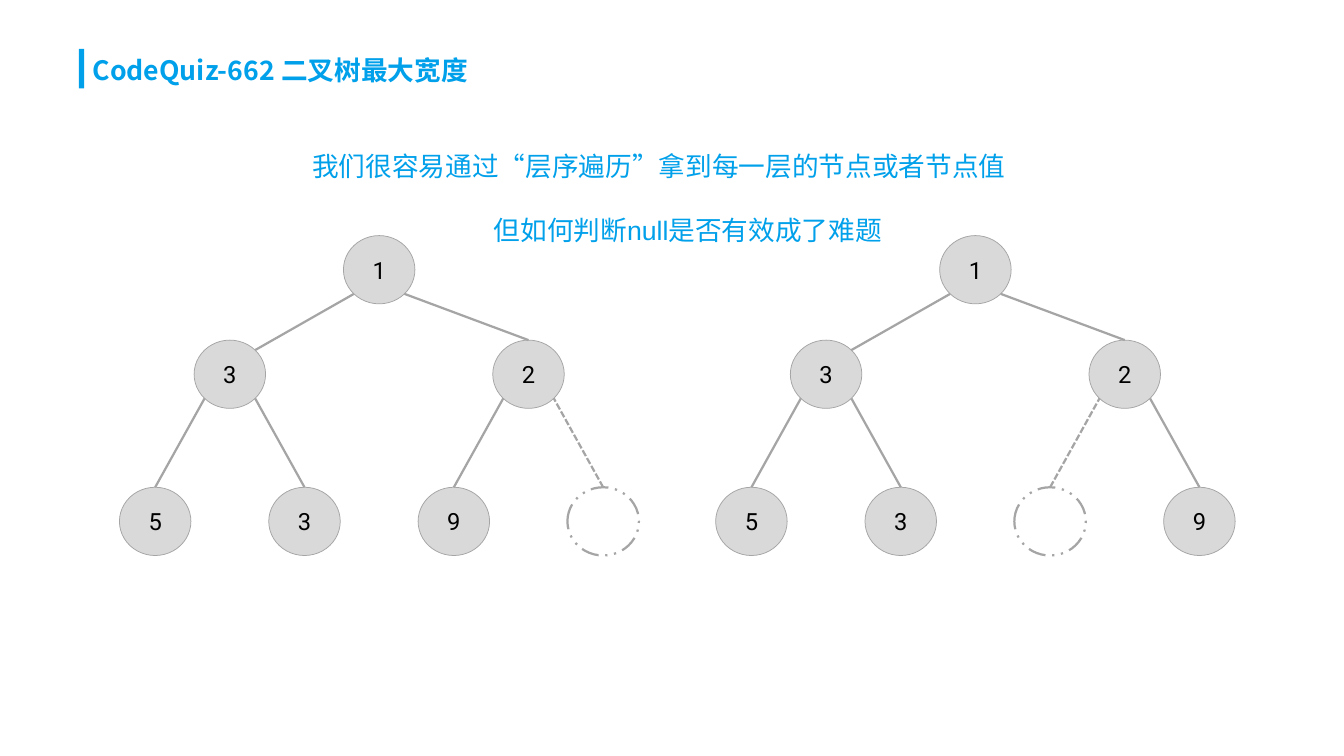
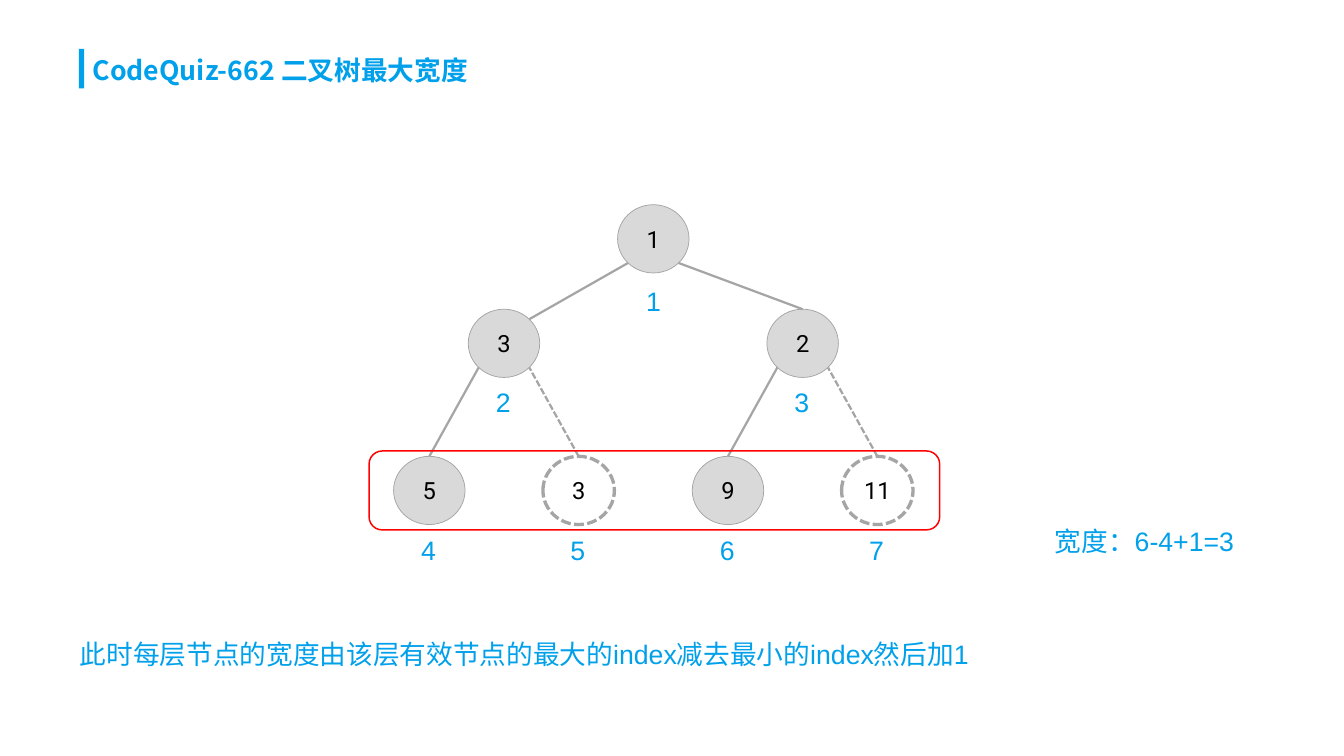
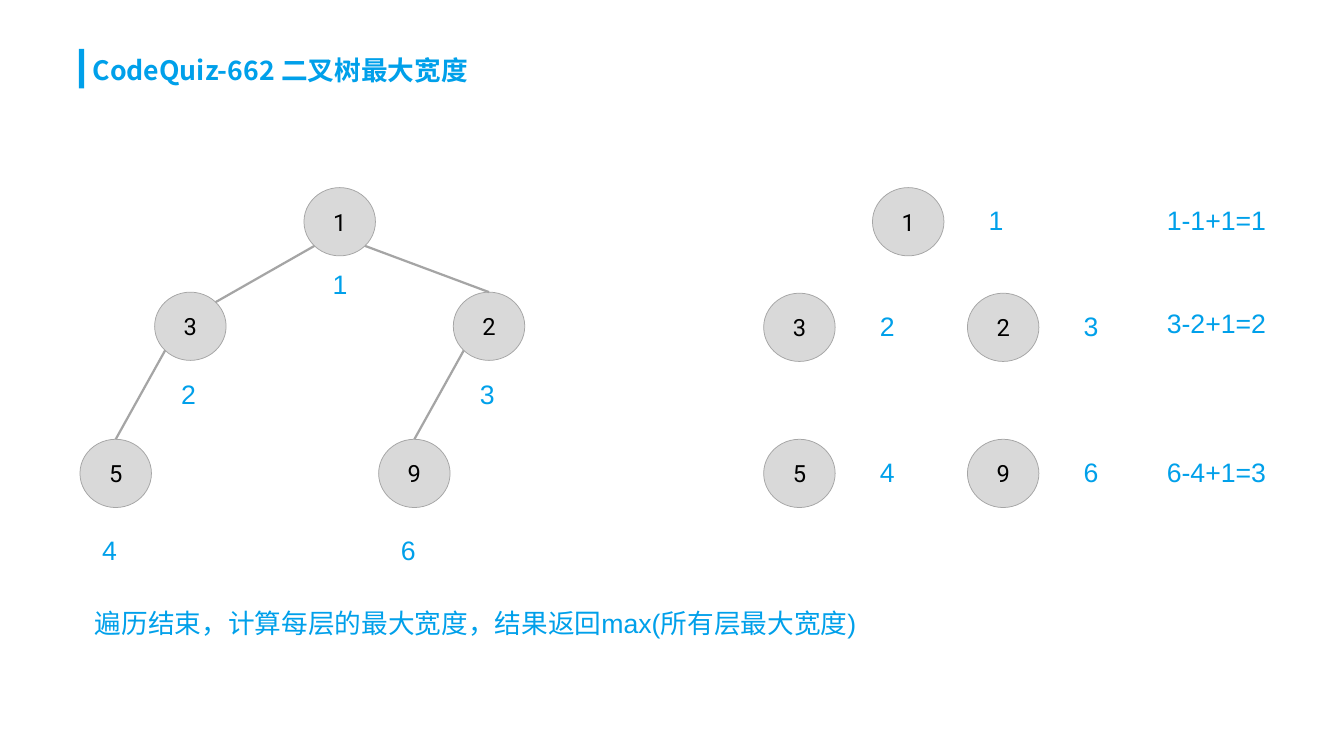
from math import sqrt

from lxml.etree import SubElement
from pptx import Presentation
from pptx.dml.color import RGBColor
from pptx.enum.dml import MSO_LINE
from pptx.enum.lang import MSO_LANGUAGE_ID
from pptx.enum.shapes import MSO_CONNECTOR, MSO_SHAPE
from pptx.enum.text import MSO_ANCHOR, MSO_AUTO_SIZE, PP_ALIGN
from pptx.oxml.ns import qn
from pptx.util import Pt

EMU_PER_PX = 9144  # 100 px to the inch
SLIDE_WIDTH, SLIDE_HEIGHT = 1260, 709
COLORS = {"accent": "00A0EA", "node": "D9D9D9", "line": "A5A5A5",
          "text": "000000", "highlight": "FF0000"}
EAST_ASIAN_FONT = "Noto Sans CJK JP"
TITLE = "CodeQuiz-662 二叉树最大宽度"

FONTS = {
    "title": {"name": EAST_ASIAN_FONT, "size": Pt(18), "bold": True},
    "body": {"name": "Arial", "size": Pt(18)},
    "node": {"name": "Roboto", "size": Pt(16)},
}
TITLE_FRAME = {"word_wrap": True, "auto_size": MSO_AUTO_SIZE.SHAPE_TO_FIT_TEXT}
NODE_FRAME = {"vertical_anchor": MSO_ANCHOR.MIDDLE, "word_wrap": True}

# Node style: fill colour, line width in points, dash
NODE_STYLES = {
    "solid": ("node", 0.5, None),
    "missing": (None, 1.5, MSO_LINE.DASH_DOT_DOT),
    "dashed": (None, 2.25, MSO_LINE.SQUARE_DOT),
}
NODE_WIDTH, NODE_HEIGHT = 67, 64
LEVEL_DROPS = (0, 98, 236)
ROOT_SPREAD = 280
CORNER = (1 - sqrt(0.5)) / 2  # where a diagonal meets the ellipse


def px(value):
    return round(value * EMU_PER_PX)


def set_all(target, values):
    for name, value in values.items():
        setattr(target, name, value)


def write(frame, text, font_key, color, frame_values):
    set_all(frame, frame_values)
    paragraph = frame.paragraphs[0]
    run = paragraph.add_run()
    run.text = text
    set_all(run.font, FONTS[font_key])
    run.font.language_id = MSO_LANGUAGE_ID.SIMPLIFIED_CHINESE
    run.font.color.rgb = RGBColor.from_string(COLORS[color])
    SubElement(run.font._element, qn("a:ea"), typeface=EAST_ASIAN_FONT)
    return paragraph


def style_line(line, color, width, dash=None):
    line.color.rgb = RGBColor.from_string(COLORS[color])
    line.width = Pt(width)
    if dash is not None:
        line.dash_style = dash


def add_outline(slide, kind, left, top, width, height, fill=None):
    shape = slide.shapes.add_shape(kind, px(left), px(top), px(width), px(height))
    shape.shadow.inherit = False
    if fill:
        shape.fill.solid()
        shape.fill.fore_color.rgb = RGBColor.from_string(COLORS[fill])
    else:
        shape.fill.background()
    return shape


def add_textbox(slide, left, top, width, height):
    return slide.shapes.add_textbox(px(left), px(top), px(width), px(height)).text_frame


def add_note(slide, text, left, top, width=58):
    """Blue body text; the default width holds one index number."""
    values = {**TITLE_FRAME, "vertical_anchor": MSO_ANCHOR.MIDDLE,
              "margin_top": 0, "margin_bottom": px(17)}
    write(add_textbox(slide, left, top, width, 48), text, "body", "accent", values)


def add_titled_slide(presentation):
    slide = presentation.slides.add_slide(presentation.slide_layouts[6])
    write(add_textbox(slide, 77, 46, 629, 40), TITLE, "title", "accent", TITLE_FRAME)
    bar = add_outline(slide, MSO_SHAPE.RECTANGLE, 74, 46, 5, 37, "accent")
    bar.line.fill.background()
    return slide


def add_node(slide, label, left, top, style="solid"):
    fill, width, dash = NODE_STYLES[style]
    node = add_outline(slide, MSO_SHAPE.OVAL, left, top, NODE_WIDTH, NODE_HEIGHT, fill)
    style_line(node.line, "line", width, dash)
    if label:
        paragraph = write(node.text_frame, label, "node", "text", NODE_FRAME)
        paragraph.alignment = PP_ALIGN.CENTER
    return node


def corner_point(node, right, bottom):
    """Point on the ellipse halfway between two of its side middles."""
    across = 1 - CORNER if right else CORNER
    down = 1 - CORNER if bottom else CORNER
    return round(node.left + node.width * across), round(node.top + node.height * down)


def add_edge(slide, parent, child, index, dashed):
    end = corner_point(parent, right=index % 2 == 1, bottom=True)
    start = corner_point(child, right=True, bottom=False)
    edge = slide.shapes.add_connector(MSO_CONNECTOR.STRAIGHT, *start, *end)
    if index != 2:  # the root's left child is met at its upper right
        edge.begin_connect(child, 0)
    style_line(edge.line, "line", 1.5, MSO_LINE.SQUARE_DOT if dashed else None)
    SubElement(edge._element.spPr, qn("a:effectLst"))


def add_tree(slide, root_left, root_top, nodes, index_offsets=None):
    """Draw nodes {index: (label, style)}; the children of i are 2i and 2i + 1."""
    drawn = {}
    for index, (label, style) in nodes.items():
        level = index.bit_length() - 1
        size = 2 ** level
        position = 2 * (index - size) + 1 - size
        left = root_left + position * ROOT_SPREAD // size
        top = root_top + LEVEL_DROPS[level]
        drawn[index] = add_node(slide, label, left, top, style)
        if index > 1:
            add_edge(slide, drawn[index // 2], drawn[index], index, style != "solid")
        if index_offsets:
            right, down = index_offsets[level]
            add_note(slide, str(index), left + right, top + down)


def solid_nodes(labels):
    return {index: (label, "solid") for index, label in labels.items()}


def build_problem(presentation):
    slide = add_titled_slide(presentation)
    shared = solid_nodes({1: "1", 2: "3", 3: "2", 4: "5", 5: "3"})
    nine, missing = ("9", "solid"), ("", "missing")
    add_tree(slide, 322, 221, {**shared, 6: nine, 7: missing})
    add_tree(slide, 881, 221, {**shared, 6: missing, 7: nine})
    add_note(slide, "但如何判断null是否有效成了难题", 453, 200, 391)
    write(add_textbox(slide, 283, 136, 740, 40),
          "我们很容易通过“层序遍历”拿到每一层的节点或者节点值",
          "body", "accent", TITLE_FRAME)


def build_indexing(presentation):
    slide = add_titled_slide(presentation)
    nodes = {**solid_nodes({1: "1", 2: "3", 3: "2", 4: "5", 6: "9"}),
             5: ("3", "dashed"), 7: ("11", "dashed")}
    add_tree(slide, 579, 192, nodes, ((17, 75), (16, 71), (16, 72)))
    frame = add_outline(slide, MSO_SHAPE.ROUNDED_RECTANGLE, 346, 423, 535, 74)
    style_line(frame.line, "highlight", 1)
    add_note(slide, "宽度：6-4+1=3", 979, 492, 203)
    add_note(slide, "此时每层节点的宽度由该层有效节点的最大的index减去最小的index然后加1",
             65, 598, 898)


def build_result(presentation):
    slide = add_titled_slide(presentation)
    nodes = solid_nodes({1: "1", 2: "3", 3: "2", 4: "5", 6: "9"})
    add_tree(slide, 285, 176, nodes, ((17, 75), (15, 80), (11, 88)))
    levels = (
        (176, 191, "1-1+1=1", ((818, 1),)),
        (275, 287, "3-2+1=2", ((716, 2), (907, 3))),
        (412, 427, "6-4+1=3", ((716, 4), (907, 6))),
    )
    for top, sum_top, width_sum, members in levels:
        for left, index in members:
            add_node(slide, nodes[index][0], left, top)
            add_note(slide, str(index), left + 99, top + 15)
        add_note(slide, width_sum, 1084, sum_top, 129)
    add_note(slide, "遍历结束，计算每层的最大宽度，结果返回max(所有层最大宽度)", 79, 569, 828)


def main():
    presentation = Presentation()
    presentation.slide_width = px(SLIDE_WIDTH)
    presentation.slide_height = px(SLIDE_HEIGHT)
    for build in (build_problem, build_indexing, build_result):
        build(presentation)
    presentation.save("out.pptx")


if __name__ == "__main__":
    main()
